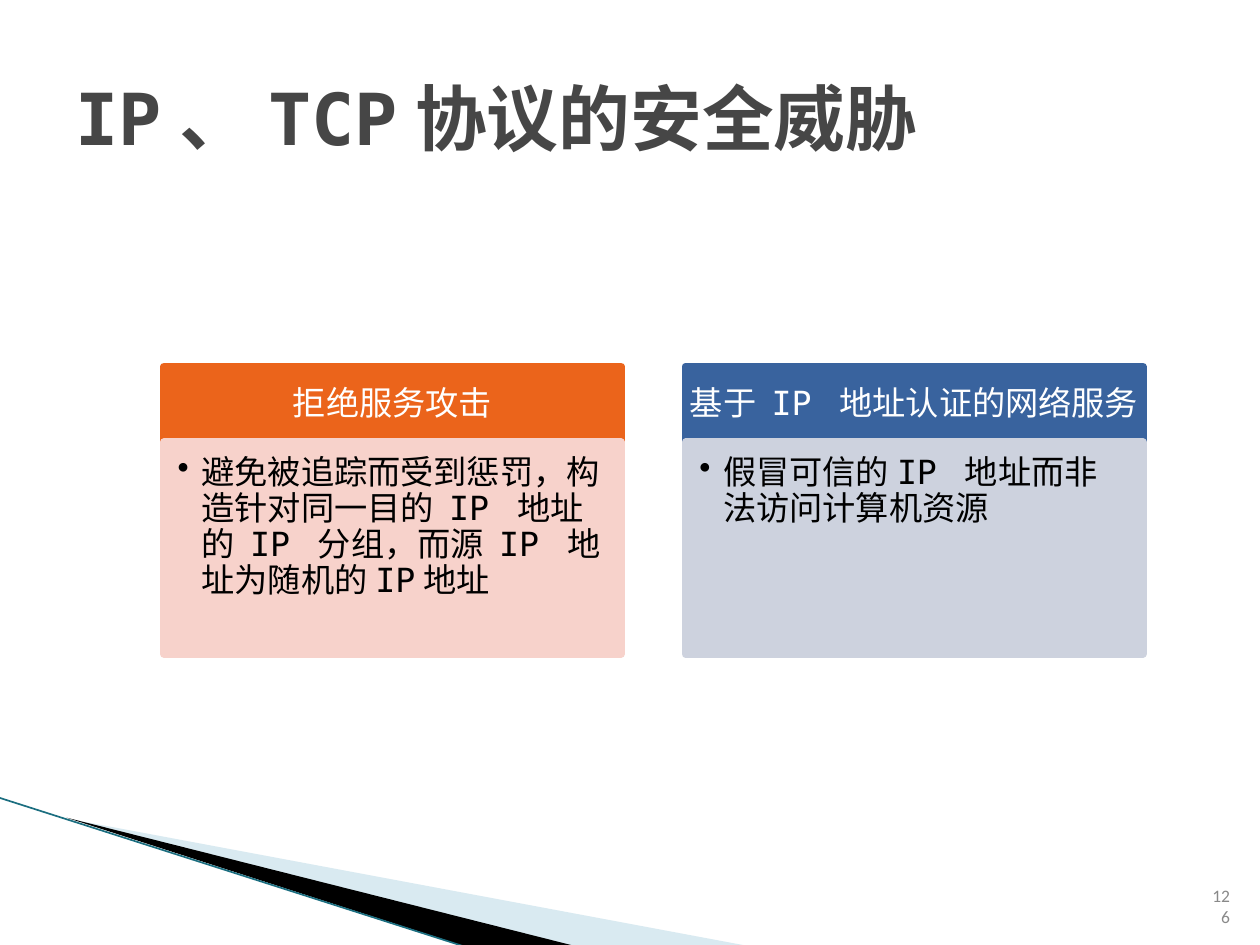
from lxml import etree
from pptx import Presentation
from pptx.dml.color import RGBColor
from pptx.enum.shapes import MSO_CONNECTOR, MSO_SHAPE
from pptx.enum.text import MSO_ANCHOR, PP_ALIGN
from pptx.oxml.ns import qn
from pptx.util import Inches, Pt

CJK = "Noto Sans CJK SC"
MONO = "DejaVu Sans Mono"


def rgb(color):
    return RGBColor.from_string(color)


def write(sp, runs, size, color, font=None, bold=False, align=PP_ALIGN.LEFT,
          anchor=MSO_ANCHOR.TOP, insets=(0.1, 0.05, 0.1, 0.05), spacing=1.0,
          bullet_indent=None):
    tf = sp.text_frame
    tf.word_wrap = True
    tf.vertical_anchor = anchor
    (tf.margin_left, tf.margin_top,
     tf.margin_right, tf.margin_bottom) = [Inches(v) for v in insets]
    p = tf.paragraphs[0]
    p.alignment = align
    p.line_spacing = spacing
    if bullet_indent:
        pPr = p._p.get_or_add_pPr()
        pPr.set("marL", str(Inches(bullet_indent)))
        pPr.set("indent", str(-Inches(bullet_indent)))
        etree.SubElement(pPr, qn("a:buChar"), char="•")
    for text in runs:
        r = p.add_run()
        r.text = text
        r.font.size = Pt(size)
        r.font.bold = bold
        r.font.color.rgb = rgb(color)
        r.font.name = font or (MONO if text.startswith("IP") else CJK)
        etree.SubElement(r._r.get_or_add_rPr(), qn("a:ea"), typeface=CJK)


def add_panel(s, x, y, w, h, color):
    sp = s.shapes.add_shape(MSO_SHAPE.RECTANGLE, Inches(x), Inches(y), Inches(w), Inches(h))
    sp.shadow.inherit = False
    sp.fill.solid()
    sp.fill.fore_color.rgb = rgb(color)
    sp.line.color.rgb = rgb(color)
    sp.line.width = Pt(4.33)
    etree.SubElement(sp.line._get_or_add_ln(), qn("a:round"))
    return sp


def add_card(s, x, y, w, h, heading, body, color, tint, side_inset):
    head_h = 0.6
    head = add_panel(s, x, y, w, head_h, color)
    write(head, heading, 19, "FFFFFF", align=PP_ALIGN.CENTER, anchor=MSO_ANCHOR.MIDDLE,
          insets=(side_inset, 0.08, side_inset, 0.08), spacing=0.9)
    panel = add_panel(s, x, y + head_h, w, h - head_h, tint)
    write(panel, body, 19, "000000", insets=(0.11, 0.11, 0.15, 0.17), spacing=0.9,
          bullet_indent=0.19)


def add_wedge(s, points, color, alpha=None):
    start, *rest = [(Inches(x), Inches(y)) for x, y in points]
    builder = s.shapes.build_freeform(*start)
    builder.add_line_segments(rest)
    sp = builder.convert_to_shape()
    sp.shadow.inherit = False
    sp.fill.solid()
    sp.fill.fore_color.rgb = rgb(color)
    sp.line.fill.background()
    if alpha:
        clr = sp._element.spPr.find(qn("a:solidFill"))[0]
        etree.SubElement(clr, qn("a:alpha"), val=str(alpha * 1000))


def add_corner(s):
    add_wedge(s, [(0.55, 6.5), (5.95, 7.51), (4.56, 7.51)], "A0CBDC", alpha=40)
    add_wedge(s, [(0.53, 6.49), (4.57, 7.51), (3.72, 7.52)], "000000")
    line = s.shapes.add_connector(MSO_CONNECTOR.STRAIGHT, Inches(-0.01), Inches(6.33),
                                  Inches(3.71), Inches(7.52))
    line.line.color.rgb = rgb("1B6E80")
    line.line.width = Pt(0.95)
    etree.SubElement(line._element.spPr, qn("a:effectLst"))


def add_page_number(s, x, y, w, h, number):
    sp = s.shapes.add_textbox(Inches(x), Inches(y), Inches(w), Inches(h))
    write(sp, [number], 10, "898989", font="Calibri", align=PP_ALIGN.RIGHT,
          anchor=MSO_ANCHOR.BOTTOM)


def add_title(s, x, y, w, h, text):
    sp = s.shapes.title
    sp.left, sp.top, sp.width, sp.height = Inches(x), Inches(y), Inches(w), Inches(h)
    write(sp, [text], 41, "464646", font=MONO, bold=True, anchor=MSO_ANCHOR.MIDDLE)


def main():
    prs = Presentation()
    prs.slide_width, prs.slide_height = Inches(10), Inches(7.5)
    s = prs.slides.add_slide(prs.slide_layouts[5])
    add_corner(s)
    add_page_number(s, 9.46, 7.01, 0.4, 0.4, "126")
    add_title(s, 0.5, 0.3, 9, 1.25, "IP、TCP协议的安全威胁")

    cards = [
        (["拒绝服务攻击"],
         ["避免被追踪而受到惩罚，构造针对同一目的 ", "IP ", "地址的 ", "IP ",
          "分组，而源 ", "IP ", "地址为随机的", "IP", "地址"],
         "EB641B", "F7D2CB", 0.15),
        (["基于 ", "IP ", "地址认证的网络服务"],
         ["假冒可信的", "IP ", "地址而非法访问计算机资源"],
         "39639E", "CDD2DE", 0),
    ]
    card_w, pitch = 3.63, 4.14
    for i, card in enumerate(cards):
        add_card(s, 1.3 + i * pitch, 2.91, card_w, 2.28, *card)
    prs.save("out.pptx")


if __name__ == "__main__":
    main()
